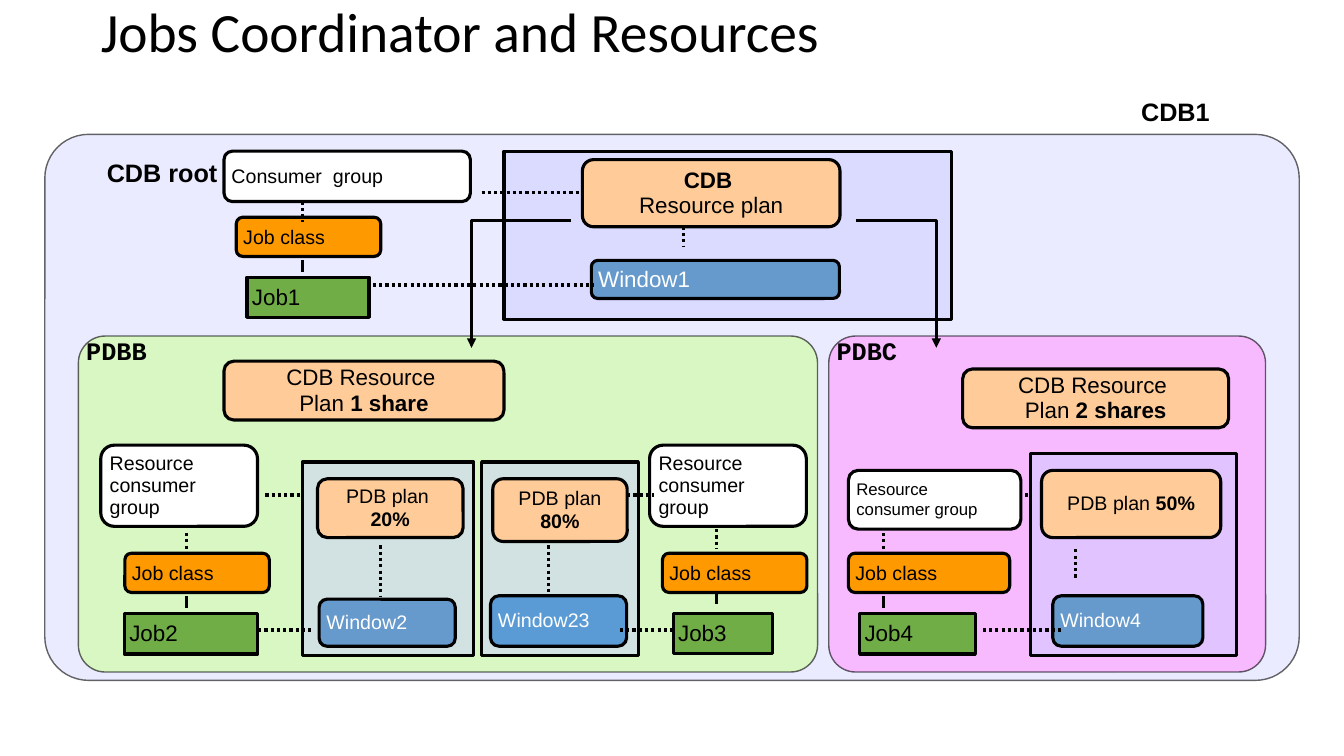
import pptx
import pptx.dml.color
import pptx.enum.dml
import pptx.enum.shapes
import pptx.enum.text
import pptx.oxml
import pptx.oxml.ns
import pptx.util
from dataclasses import dataclass
from typing import NamedTuple

RGB = pptx.dml.color.RGBColor
SHAPE = pptx.enum.shapes.MSO_SHAPE
CONNECTOR = pptx.enum.shapes.MSO_CONNECTOR
ALIGN = pptx.enum.text.PP_ALIGN
ANCHOR = pptx.enum.text.MSO_ANCHOR
Pt = pptx.util.Pt
Inches = pptx.util.Inches

BLACK = RGB(0, 0, 0)
WHITE = RGB(255, 255, 255)
ROOT_FILL = RGB(0xEB, 0xEB, 0xFF)
PDBB_FILL = RGB(0xD9, 0xF7, 0xC2)
PDBC_FILL = RGB(0xF7, 0xBA, 0xFF)
CDB_FRAME = RGB(0xDB, 0xDB, 0xFF)
PDBB_FRAME = RGB(0xD2, 0xE1, 0xE1)
PDBC_FRAME = RGB(0xE1, 0xC3, 0xFF)
PLAN_FILL = RGB(0xFF, 0xCC, 0x99)
CLASS_FILL = RGB(0xFF, 0x99, 0)
JOB_FILL = RGB(0x70, 0xAD, 0x47)
WINDOW_FILL = RGB(0x66, 0x99, 0xCC)
WINDOW23_FILL = RGB(0x5B, 0x9B, 0xD5)

deck = pptx.Presentation()
deck.slide_width, deck.slide_height = Inches(13.33), Inches(7.5)
COLUMN = deck.slide_width / 120  # square grid, 120 columns wide
ROW = deck.slide_height / 67.5
page = deck.slides.add_slide(deck.slide_layouts[5])


class Area(NamedTuple):
    """A rectangle in grid columns and rows."""
    left: float
    top: float
    width: float
    height: float

    def lengths(self) -> list[int]:
        """Return the rectangle in slide units."""
        return [round(n * unit) for n, unit in zip(self, (COLUMN, ROW) * 2)]


@dataclass(frozen=True)
class Style:
    """The look shared by one family of boxes."""
    fill: RGB
    size: float = 14
    color: RGB = BLACK
    outline: SHAPE = SHAPE.ROUNDED_RECTANGLE
    align: ALIGN = ALIGN.LEFT
    spacing: float = 0.95


class Box(NamedTuple):
    """A labelled box; ** marks bold text."""
    area: Area
    text: str
    style: Style


class Link(NamedTuple):
    """A straight link between two grid points."""
    x1: float
    y1: float
    x2: float
    y2: float
    dotted: bool = True


def write(frame, text: str, size: float, color: RGB = BLACK, name: str = "Arial",
          align: ALIGN = ALIGN.LEFT, spacing=None, bold: bool = False) -> None:
    """Fill a text frame, one paragraph a line, with ** around bold spans."""
    for number, line in enumerate(text.split("\n")):
        para = frame.add_paragraph() if number else frame.paragraphs[0]
        para.alignment = align
        para.line_spacing = spacing
        para.font.name, para.font.size, para.font.bold = name, Pt(size), bold
        para.font.color.rgb = color
        for index, part in enumerate(line.split("**")):
            for piece, words in enumerate(part.split("\v")):
                if piece:
                    para.add_line_break()
                if words:
                    span = para.add_run()
                    span.text = words
                    if index % 2:
                        span.font.bold = True


def draw_outline(area: Area, fill: RGB, outline: SHAPE, weight: float = 2.25):
    """Draw a filled shape with a black line."""
    shape = page.shapes.add_shape(outline, *area.lengths())
    shape.shadow.inherit = False
    shape.fill.solid()
    shape.fill.fore_color.rgb = fill
    shape.line.color.rgb = BLACK
    shape.line.width = Pt(weight)
    return shape


def draw_panel(area: Area, fill: RGB, text: str) -> None:
    """Draw a container panel with a translucent line and a corner name."""
    panel = draw_outline(area, fill, SHAPE.ROUNDED_RECTANGLE, 1)
    panel.adjustments[0] = 0.08
    color = panel.line._ln.find(".//" + pptx.oxml.ns.qn("a:srgbClr"))
    color.append(pptx.oxml.parse_xml(
        f'<a:alpha {pptx.oxml.ns.nsdecls("a")} val="60000"/>'))
    frame = panel.text_frame
    frame.margin_left = frame.margin_right = 0
    frame.margin_top, frame.margin_bottom = Inches(0.08), Inches(0.04)
    frame.vertical_anchor = ANCHOR.TOP
    if text:
        write(frame, text, 18, name="Courier New", spacing=Pt(10), bold=True)


def draw_box(box: Box) -> None:
    """Draw one labelled box."""
    style = box.style
    frame = draw_outline(box.area, style.fill, style.outline).text_frame
    frame.margin_left = frame.margin_right = Inches(0.05)
    frame.margin_top = frame.margin_bottom = Inches(0.05)
    frame.vertical_anchor = ANCHOR.MIDDLE
    frame.word_wrap = False
    write(frame, box.text, style.size, style.color, align=style.align, spacing=style.spacing)


def draw_link(link: Link, kind: CONNECTOR = CONNECTOR.STRAIGHT):
    """Draw a dotted or solid link without a shadow."""
    start, end = Area(*link[:4]).lengths()[:2], Area(*link[:4]).lengths()[2:]
    line = page.shapes.add_connector(kind, *start, *end)
    line.line.color.rgb = BLACK
    line.line.width = Pt(2.25)
    if link.dotted:
        line.line.dash_style = pptx.enum.dml.MSO_LINE.ROUND_DOT
    line._element.spPr.append(pptx.oxml.parse_xml(
        f'<a:effectLst {pptx.oxml.ns.nsdecls("a")}/>'))
    return line


def draw_bent_arrow(link: Link) -> None:
    """Draw an arrow that goes sideways, then down."""
    arrow = draw_link(link, CONNECTOR.ELBOW)
    arrow._element.spPr.find(pptx.oxml.ns.qn("a:prstGeom")).set("prst", "bentConnector2")
    arrow.line._ln.append(pptx.oxml.parse_xml(
        f'<a:tailEnd {pptx.oxml.ns.nsdecls("a")} type="triangle"/>'))


def draw_label(area: Area, text: str) -> None:
    """Draw a bold free-standing label."""
    frame = page.shapes.add_textbox(*area.lengths()).text_frame
    frame.word_wrap = True
    write(frame, text, 18, bold=True)


GROUP, SMALL_GROUP = Style(WHITE), Style(WHITE, 12)
JOB_CLASS = Style(CLASS_FILL, spacing=1)
JOB = Style(JOB_FILL, 16, outline=SHAPE.RECTANGLE)
WINDOW, WIDE_WINDOW = Style(WINDOW_FILL, color=WHITE), Style(WINDOW_FILL, 16, WHITE)
WINDOW23 = Style(WINDOW23_FILL, color=WHITE)
CDB_PLAN = Style(PLAN_FILL, 16, align=ALIGN.CENTER)
PDB_PLAN = Style(PLAN_FILL, align=ALIGN.CENTER)
GROUP_TEXT = "Resource\vconsumer \ngroup"

PANELS = [(Area(4, 12, 112, 48.75), ROOT_FILL, ""),
          (Area(7, 30, 66, 30), PDBB_FILL, "PDBB"),
          (Area(74, 30, 39, 30), PDBC_FILL, "PDBC")]
FRAMES = [(Area(45, 13.5, 40, 15), CDB_FRAME),
          (Area(27, 41.25, 15.3, 17.25), PDBB_FRAME),
          (Area(43, 41.25, 14, 17.25), PDBB_FRAME),
          (Area(92, 40.5, 18.4, 18), PDBC_FRAME)]
BOXES = [
    Box(Area(20, 13.5, 22, 4.5), "Consumer  group", GROUP),
    Box(Area(9, 39.75, 14, 7.25), GROUP_TEXT, GROUP),
    Box(Area(58, 39.75, 14, 7.25), GROUP_TEXT, GROUP),
    Box(Area(75.75, 42, 15.4, 5.25), "Resource\vconsumer group", SMALL_GROUP),
    Box(Area(21.1, 19.4, 12.9, 3.5), "Job class", JOB_CLASS),
    Box(Area(11.15, 49.4, 12.9, 3.5), "Job class", JOB_CLASS),
    Box(Area(59.15, 49.4, 12.9, 3.5), "Job class", JOB_CLASS),
    Box(Area(75.75, 49.4, 14.4, 3.5), "Job class", JOB_CLASS),
    Box(Area(22.05, 24.75, 10.9, 3.6), "Job1", JOB),
    Box(Area(11.1, 54.8, 11.9, 3.6), "Job2", JOB),
    Box(Area(60.1, 54.75, 8.9, 3.6), "Job3", JOB),
    Box(Area(76.75, 54.8, 10.35, 3.6), "Job4", JOB),
    Box(Area(52.8, 23.25, 22.15, 3.4), "Window1", WIDE_WINDOW),
    Box(Area(28.5, 53.5, 12.15, 4.2), "Window2", WINDOW),
    Box(Area(43.8, 53.2, 12.15, 4.5), "Window23", WINDOW23),
    Box(Area(94, 53.2, 13.4, 4.5), "Window4", WINDOW),
    Box(Area(52, 14.25, 23, 6), "**CDB **\nResource plan", CDB_PLAN),
    Box(Area(20, 32.25, 25, 5.25), "CDB Resource \nPlan **1 share**", CDB_PLAN),
    Box(Area(85.95, 32.95, 23.75, 5.25), "CDB Resource \nPlan **2 shares**", CDB_PLAN),
    Box(Area(28.35, 42.75, 13, 5.25), "PDB plan \n**20%**", PDB_PLAN),
    Box(Area(44, 42.75, 12, 5.6), "PDB plan\n**80%**", PDB_PLAN),
    Box(Area(93, 42, 16, 6), "PDB plan **50%**", PDB_PLAN),
]
LINKS_BEHIND = [Link(85.9, 44.2, 94.9, 44.2), Link(23.7, 44.2, 32.7, 44.2)]
ACROSS = [(43, 17.2, 52), (33.3, 25.45, 53), (56, 44.2, 58.4),
          (55.35, 56.25, 60.1), (23.05, 56.25, 27.8), (87.75, 56.25, 94.95)]
GROUP_DROPS = [(27, 18), (16.65, 47.6), (64, 47.25), (78.85, 47.6), (61, 20.25)]
PLAN_DROPS = [(34, 48.7, 4.5), (49, 48.7, 4.5), (96.05, 49.05, 2.7)]
JOB_DROPS = [(27, 23.2), (16.65, 53.2), (64, 52.85), (78.85, 53.2)]
LINKS = ([Link(x, y, end, y) for x, y, end in ACROSS]
         + [Link(x, y, x, y + 1.8) for x, y in GROUP_DROPS]
         + [Link(x, y, x, y + drop) for x, y, drop in PLAN_DROPS]
         + [Link(x, y, x, y + 1.1, False) for x, y in JOB_DROPS])

title = page.shapes.title
title.left, title.top, title.width, title.height = Area(8.1, 1.6, 97.8, 3).lengths()
title.text_frame.auto_size = pptx.enum.text.MSO_AUTO_SIZE.NONE
title.text_frame.vertical_anchor = ANCHOR.MIDDLE
write(title.text_frame, "Jobs Coordinator and Resources", 39.6, name="Calibri", spacing=0.9)

for panel in PANELS:
    draw_panel(*panel)
for link in LINKS_BEHIND:
    draw_link(link)
for area, fill in FRAMES:
    draw_outline(area, fill, SHAPE.RECTANGLE)
for box in BOXES:
    draw_box(box)
draw_label(Area(101, 8.2, 12, 3.6), "CDB1")
draw_label(Area(8.65, 13.6, 12, 3.6), "CDB root")
for link in LINKS:
    draw_link(link)
for start, end in ((51, 42.1), (76.4, 83.6)):
    draw_bent_arrow(Link(start, 19.7, end, 31.05, False))

deck.save("out.pptx")
